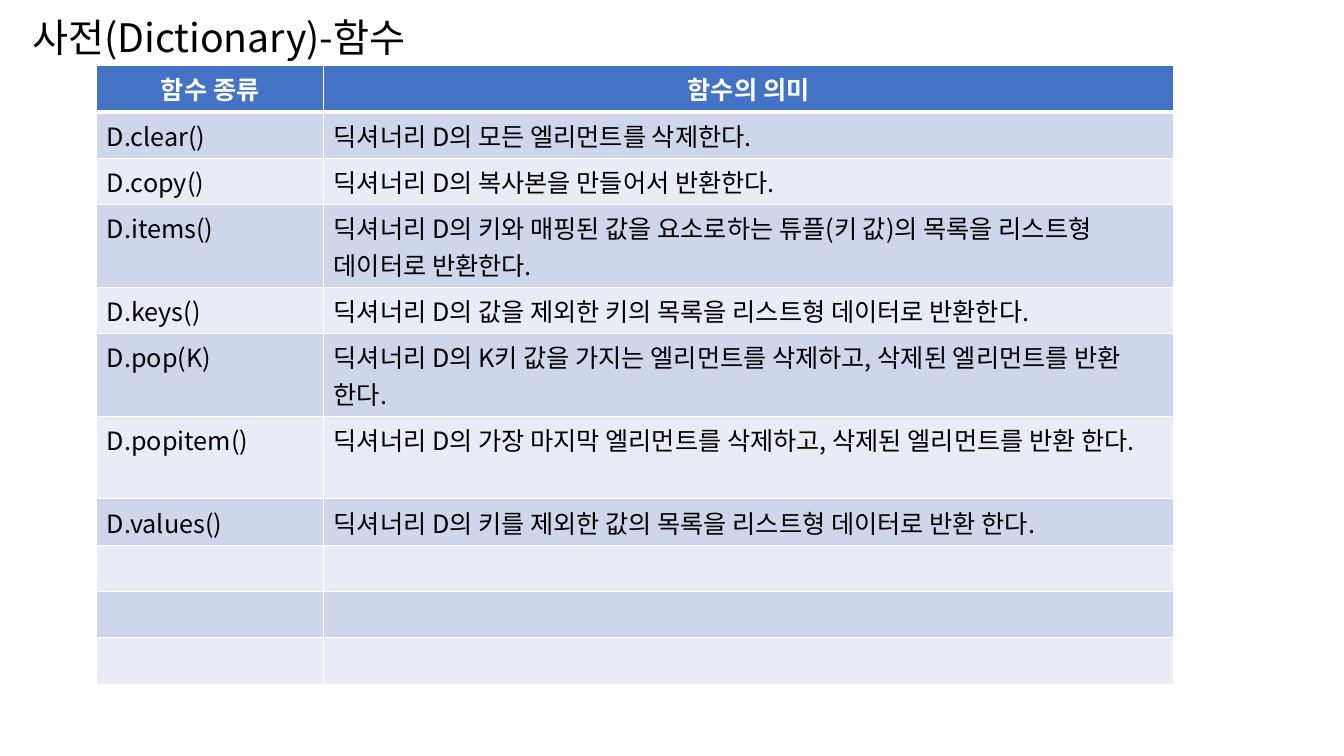
from dataclasses import dataclass

from lxml import etree
from pptx import Presentation
from pptx.dml.color import RGBColor
from pptx.enum.text import MSO_ANCHOR, PP_ALIGN
from pptx.oxml.ns import qn
from pptx.util import Inches, Pt

BOTTOM = MSO_ANCHOR.BOTTOM
LEFT = PP_ALIGN.LEFT
CENTER = PP_ALIGN.CENTER

BLACK = RGBColor(0x00, 0x00, 0x00)
WHITE = RGBColor(0xFF, 0xFF, 0xFF)
BLUE = RGBColor(0x44, 0x72, 0xC4)
DARK = RGBColor(0xCF, 0xD5, 0xEA)
LIGHT = RGBColor(0xE9, 0xEB, 0xF5)

FONT = "Noto Sans CJK KR"
WIDTHS = (2.25, 8.43)
THIN, THICK = 1, 3


@dataclass(frozen=True)
class Row:
    name: str = ""
    sense: str = ""
    height: float = 0.46


@dataclass(frozen=True)
class Style:
    size: int
    color: RGBColor
    bold: bool = False
    align: PP_ALIGN = LEFT


TITLE = Style(28, BLACK)
HEAD = Style(18, WHITE, True, CENTER)
BODY = Style(18, BLACK)

ROWS = [
    Row("함수 종류", "함수의 의미"),
    Row("D.clear()", "딕셔너리 D의 모든 엘리먼트를 삭제한다."),
    Row("D.copy()", "딕셔너리 D의 복사본을 만들어서 반환한다."),
    Row("D.items()", "딕셔너리 D의 키와 매핑된 값을 요소로하는 튜플(키 값)의 목록을 리스트형 데이터로 반환한다.", 0.82),
    Row("D.keys()", "딕셔너리 D의 값을 제외한 키의 목록을 리스트형 데이터로 반환한다."),
    Row("D.pop(K)", "딕셔너리 D의 K키 값을 가지는 엘리먼트를 삭제하고, 삭제된 엘리먼트를 반환 한다.", 0.82),
    Row("D.popitem()", "딕셔너리 D의 가장 마지막 엘리먼트를 삭제하고, 삭제된 엘리먼트를 반환 한다.", 0.82),
    Row("D.values()", "딕셔너리 D의 키를 제외한 값의 목록을 리스트형 데이터로 반환 한다."),
    Row(),
    Row(),
    Row(),
]


def write(frame, text: str, style: Style) -> None:
    para = frame.paragraphs[0]
    para.alignment = style.align
    run = para.add_run()
    run.text = text
    run.font.color.rgb = style.color
    form = {"name": FONT, "size": Pt(style.size), "bold": style.bold}
    for key, value in form.items():
        setattr(run.font, key, value)
    etree.SubElement(run._r.get_or_add_rPr(), qn("a:ea"), typeface=FONT)


def border(cell, top: int, bottom: int) -> None:
    props = cell._tc.get_or_add_tcPr()
    sides = {"lnL": THIN, "lnR": THIN, "lnT": top, "lnB": bottom}
    for spot, (side, width) in enumerate(sides.items()):
        line = etree.Element(qn(f"a:{side}"), w=str(Pt(width)))
        fill = etree.SubElement(line, qn("a:solidFill"))
        etree.SubElement(fill, qn("a:srgbClr"), val=str(WHITE))
        props.insert(spot, line)


def add_title(slide) -> None:
    box = slide.shapes.add_textbox(Inches(0.22), Inches(0.13), Inches(10.4), Inches(0.52))
    frame = box.text_frame
    frame.word_wrap = True
    frame.vertical_anchor = BOTTOM
    frame.paragraphs[0].line_spacing = 0.9
    write(frame, "사전(Dictionary)-함수", TITLE)


def add_grid(slide) -> None:
    height = sum(row.height for row in ROWS)
    table = slide.shapes.add_table(
        len(ROWS), len(WIDTHS), Inches(0.96), Inches(0.65), Inches(sum(WIDTHS)), Inches(height)
    ).table
    for column, width in zip(table.columns, WIDTHS):
        column.width = Inches(width)
    for index, row in enumerate(ROWS):
        table.rows[index].height = Inches(row.height)
        tint = BLUE if index == 0 else DARK if index % 2 else LIGHT
        for side, text in enumerate((row.name, row.sense)):
            cell = table.cell(index, side)
            cell.fill.solid()
            cell.fill.fore_color.rgb = tint
            border(cell, THICK if index == 1 else THIN, THICK if index == 0 else THIN)
            if text:
                write(cell.text_frame, text, BODY if index else HEAD)


def main() -> None:
    deck = Presentation()
    deck.slide_width = Inches(13.33)
    deck.slide_height = Inches(7.5)
    slide = deck.slides.add_slide(deck.slide_layouts[6])
    add_title(slide)
    add_grid(slide)
    deck.save("out.pptx")


if __name__ == "__main__":
    main()
